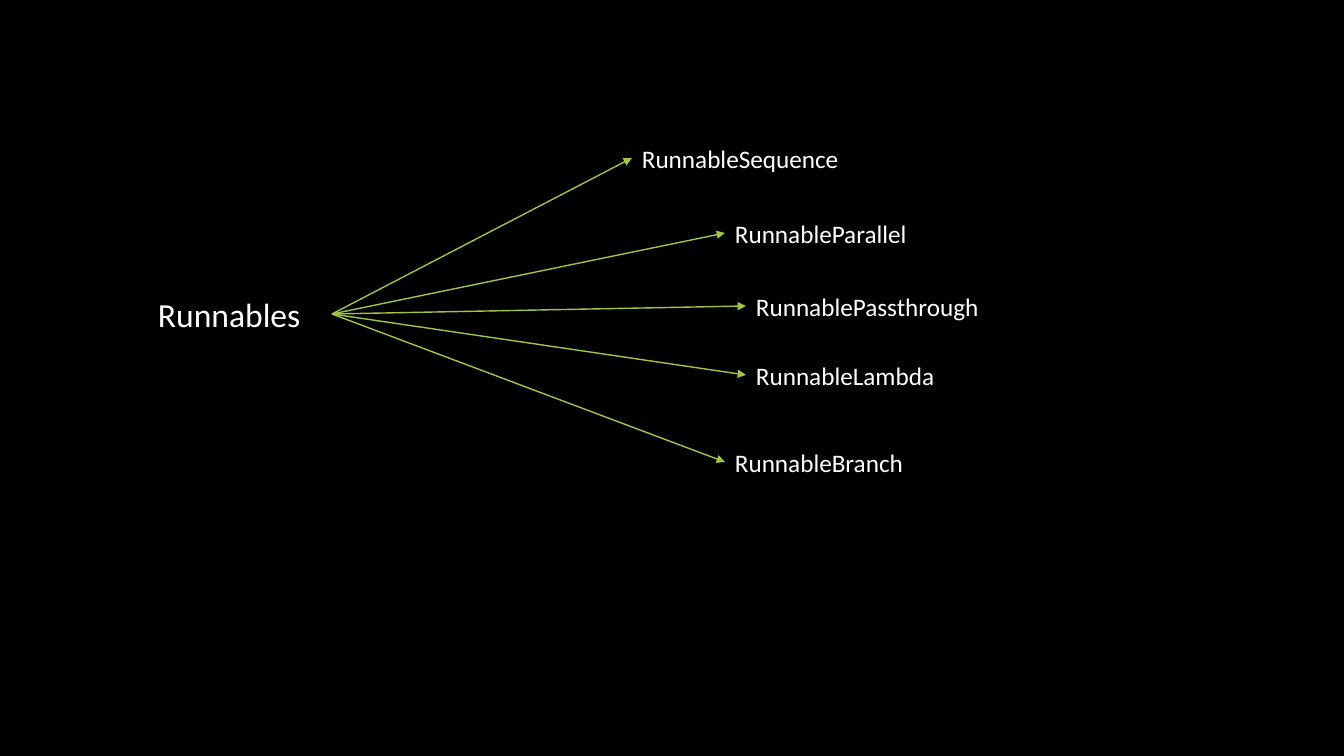
"""Build a slide that maps Runnables to its five kinds."""
import dataclasses

import lxml.etree
import pptx
import pptx.dml.color
import pptx.enum.shapes
import pptx.oxml.ns
import pptx.util


@dataclasses.dataclass(frozen=True)
class Theme:
    background: str = "000000"
    text: str = "FFFFFF"
    arrow: str = "9EC544"
    font: str = "Calibri"
    root_size: int = 24
    kind_size: int = 18
    arrow_width: int = 1


THEME = Theme()
PIXEL = 914400 / 100.8
SLIDE_WIDTH, SLIDE_HEIGHT = 1344, 756
ROOT_LEFT, ROOT_TOP, ROOT_WIDTH, ROOT_HEIGHT = 148, 289, 184, 50
KIND_HEIGHT = 40
KINDS = [
    ("RunnableSequence", 632, 138, 342),
    ("RunnableParallel", 725, 213, 422),
    ("RunnablePassthrough", 746, 286, 598),
    ("RunnableLambda", 746, 355, 598),
    ("RunnableBranch", 725, 442, 619),
]


def px(*lengths):
    return [pptx.util.Emu(round(length * PIXEL)) for length in lengths]


def add_label(text, box, size):
    label = slide.shapes.add_textbox(*px(*box))
    label.text_frame.word_wrap = True
    label.text_frame.text = text
    font = label.text_frame.paragraphs[0].runs[0].font
    font.name = THEME.font
    font.size = pptx.util.Pt(size)
    font.color.rgb = pptx.dml.color.RGBColor.from_string(THEME.text)


presentation = pptx.Presentation()
presentation.slide_width, presentation.slide_height = px(SLIDE_WIDTH, SLIDE_HEIGHT)
slide = presentation.slides.add_slide(presentation.slide_layouts.get_by_name("Blank"))
slide.background.fill.solid()
slide.background.fill.fore_color.rgb = pptx.dml.color.RGBColor.from_string(THEME.background)

add_label("Runnables", (ROOT_LEFT, ROOT_TOP, ROOT_WIDTH, ROOT_HEIGHT), THEME.root_size)
for name, left, top, width in KINDS:
    add_label(name, (left, top, width, KIND_HEIGHT), THEME.kind_size)

arrow_start = (ROOT_LEFT + ROOT_WIDTH, ROOT_TOP + ROOT_HEIGHT // 2)
for name, left, top, width in KINDS:
    arrow = slide.shapes.add_connector(
        pptx.enum.shapes.MSO_CONNECTOR.STRAIGHT,
        *px(*arrow_start, left, top + KIND_HEIGHT // 2),
    )
    arrow.line.color.rgb = pptx.dml.color.RGBColor.from_string(THEME.arrow)
    arrow.line.width = pptx.util.Pt(THEME.arrow_width)
    line = arrow.line._get_or_add_ln()
    lxml.etree.SubElement(line, pptx.oxml.ns.qn("a:tailEnd"), type="triangle")
    lxml.etree.SubElement(arrow._element.spPr, pptx.oxml.ns.qn("a:effectLst"))

presentation.save("out.pptx")
